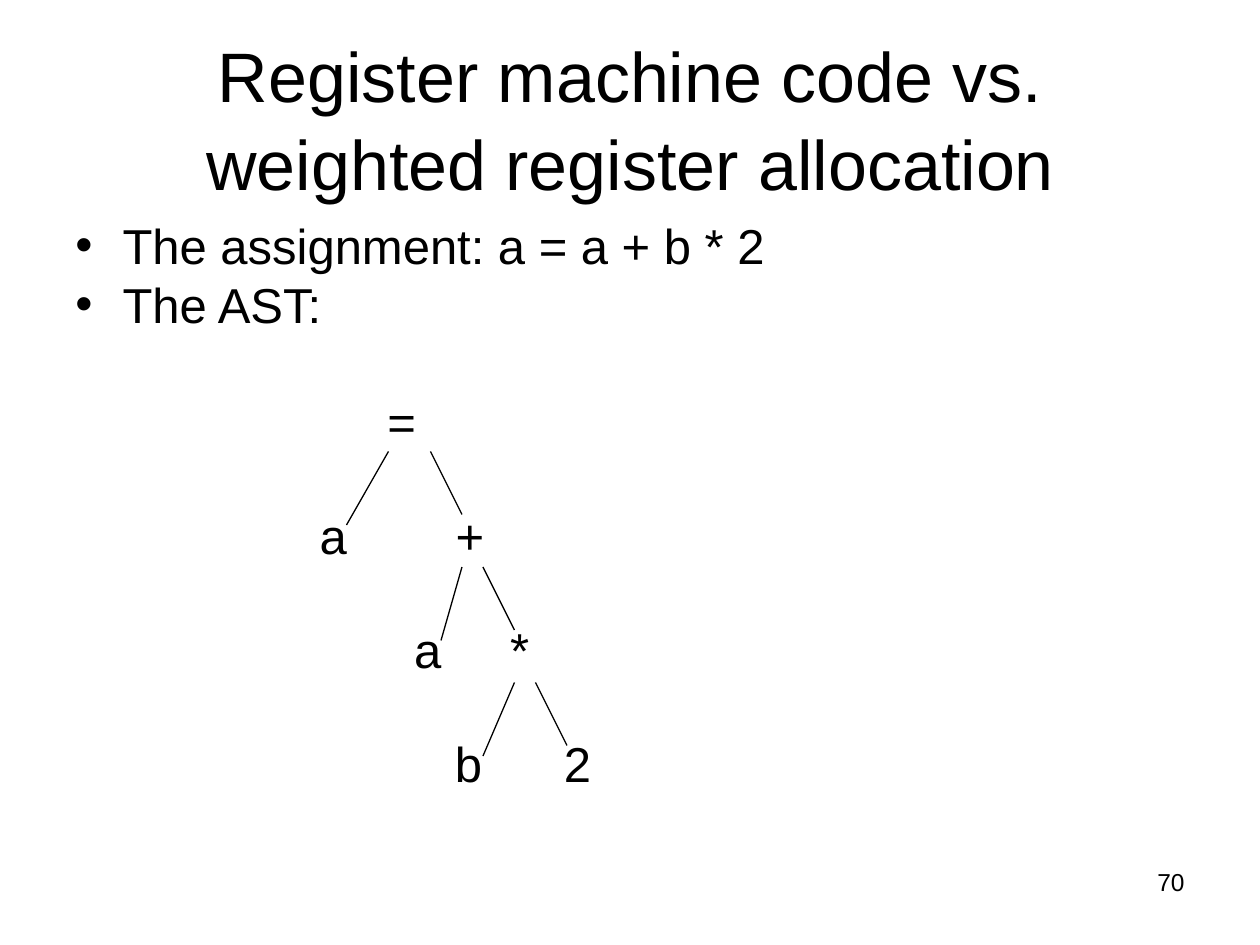
from lxml.etree import SubElement
from pptx import Presentation
from pptx.dml.color import RGBColor
from pptx.enum.shapes import MSO_CONNECTOR
from pptx.enum.text import MSO_ANCHOR, PP_ALIGN
from pptx.oxml.ns import qn
from pptx.util import Emu, Pt

EMU_PER_PX = 9525
COLORS = {"ink": "000000", "paper": "FFFFFF"}

# Syntax tree: (label, centre x, level)
NODES = [
    ("=", 306, 0),
    ("a", 254, 1), ("+", 358, 1),
    ("a", 326, 2), ("*", 396, 2),
    ("b", 357, 3), ("2", 440, 3),
]
LEVEL_TOP, LEVEL_STEP = 298, 87
NODE_WIDTH, NODE_HEIGHT = 40, 43

# One pair of branches per parent: (left start, left end, right start, right end)
BRANCHES = [
    (296, 264, 328, 352),
    (352, 336, 368, 392),
    (392, 368, 408, 432),
]
BRANCH_TOP, BRANCH_STEP = 344, 88
LEFT_DROP, RIGHT_DROP = 56, 48


def px(length):
    return Emu(length * EMU_PER_PX)


class SlideBuilder:
    font_name = "Arial"
    body_size = 28

    def __init__(self, deck):
        self.slide = deck.slides.add_slide(deck.slide_layouts[6])
        fill = self.slide.background.fill
        fill.solid()
        fill.fore_color.rgb = RGBColor.from_string(COLORS["paper"])

    def frame(self, left, top, width, height, anchor=MSO_ANCHOR.TOP):
        box = self.slide.shapes.add_textbox(px(left), px(top), px(width), px(height))
        frame = box.text_frame
        frame.word_wrap = True
        frame.vertical_anchor = anchor
        return frame

    def add_span(self, para, text, size, align=PP_ALIGN.LEFT):
        para.alignment = align
        span = para.add_run()
        span.text = text
        span.font.name = self.font_name
        span.font.size = Pt(size)
        span.font.color.rgb = RGBColor.from_string(COLORS["ink"])

    def title(self, text):
        para = self.frame(48, 29, 864, 120, MSO_ANCHOR.MIDDLE).paragraphs[0]
        para.line_spacing = 1.05
        self.add_span(para, text, 40, PP_ALIGN.CENTER)

    def bullets(self, items):
        frame = self.frame(48, 168, 864, 106)
        for index, item in enumerate(items):
            para = frame.add_paragraph() if index else frame.paragraphs[0]
            para.line_spacing = 0.8
            para.space_before = Pt(7)
            self.add_span(para, item, self.body_size)
            properties = para._p.get_or_add_pPr()
            properties.set("marL", str(px(36)))
            properties.set("indent", str(px(-36)))
            SubElement(properties, qn("a:buFont")).set("typeface", self.font_name)
            SubElement(properties, qn("a:buChar")).set("char", "•")

    def node(self, label, center, level):
        frame = self.frame(center - NODE_WIDTH // 2, LEVEL_TOP + level * LEVEL_STEP,
                           NODE_WIDTH, NODE_HEIGHT)
        frame.margin_left = frame.margin_right = 0
        frame.margin_top = frame.margin_bottom = 0
        self.add_span(frame.paragraphs[0], label, self.body_size, PP_ALIGN.CENTER)

    def branch(self, start_x, start_y, end_x, end_y):
        line = self.slide.shapes.add_connector(
            MSO_CONNECTOR.STRAIGHT, px(start_x), px(start_y), px(end_x), px(end_y))
        line.line.color.rgb = RGBColor.from_string(COLORS["ink"])
        line.line.width = Pt(0.75)
        SubElement(line._element.spPr, qn("a:effectLst"))

    def page_number(self, number):
        para = self.frame(688, 656, 224, 50).paragraphs[0]
        self.add_span(para, number, 14, PP_ALIGN.RIGHT)


def main():
    deck = Presentation()
    deck.slide_width, deck.slide_height = px(960), px(720)
    page = SlideBuilder(deck)
    page.title("Register machine code vs. weighted register allocation")
    page.bullets(["The assignment: a = a + b * 2", "The AST:"])
    for label, center, level in NODES:
        page.node(label, center, level)
    for level, (left_start, left_end, right_start, right_end) in enumerate(BRANCHES):
        top = BRANCH_TOP + level * BRANCH_STEP
        page.branch(left_start, top, left_end, top + LEFT_DROP)
        page.branch(right_start, top, right_end, top + RIGHT_DROP)
    page.page_number("70")
    deck.save("out.pptx")


if __name__ == "__main__":
    main()
